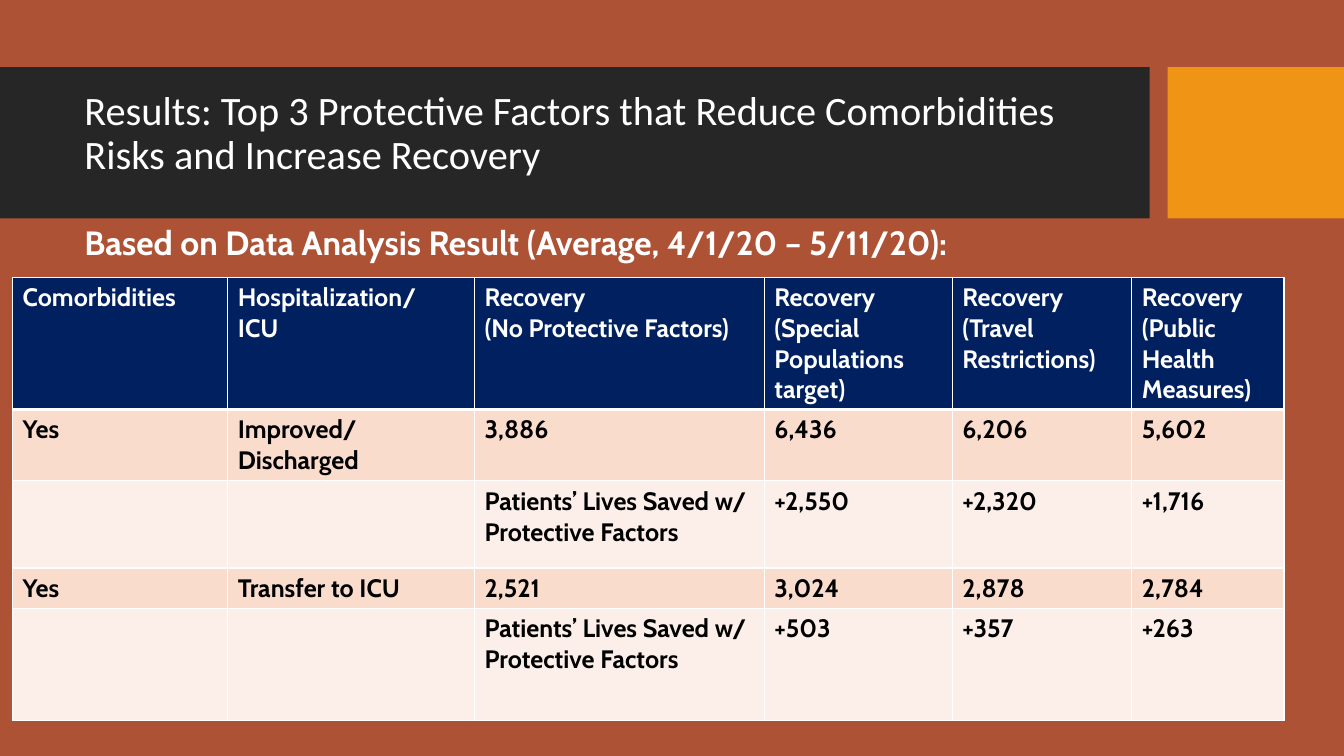
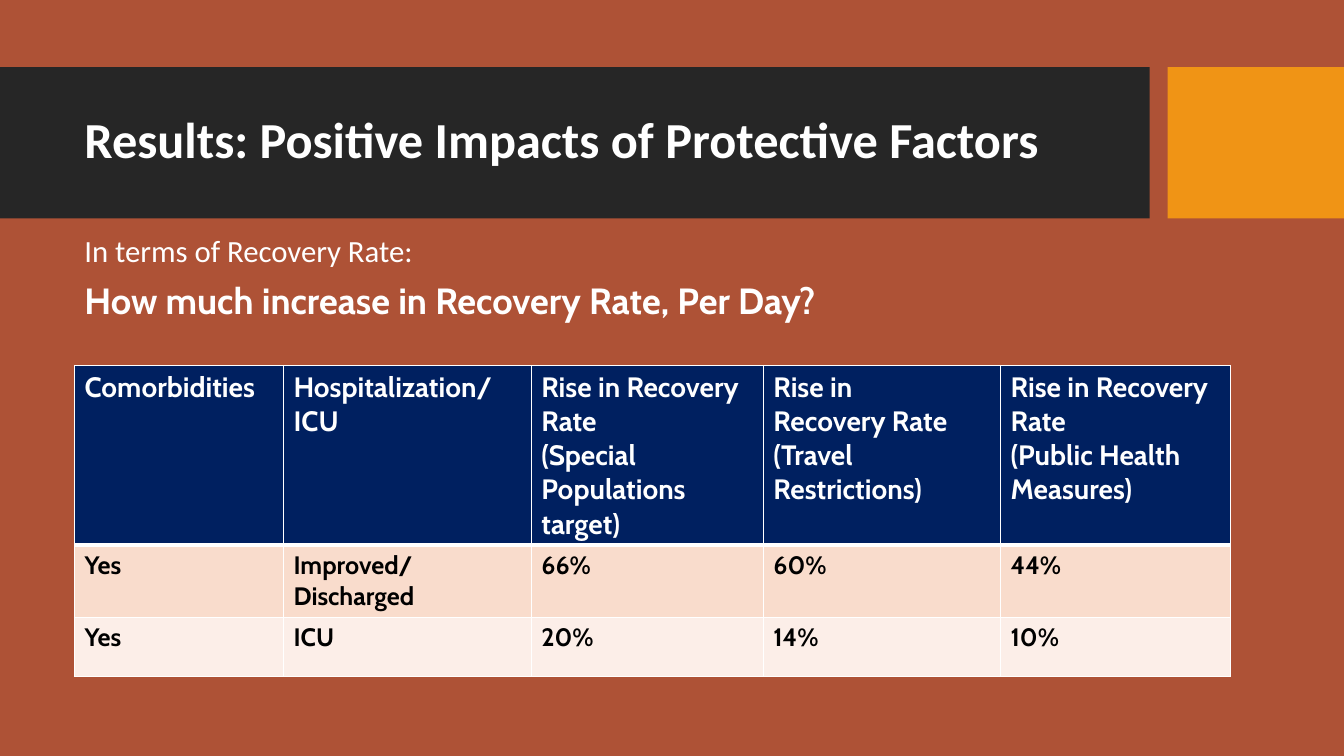
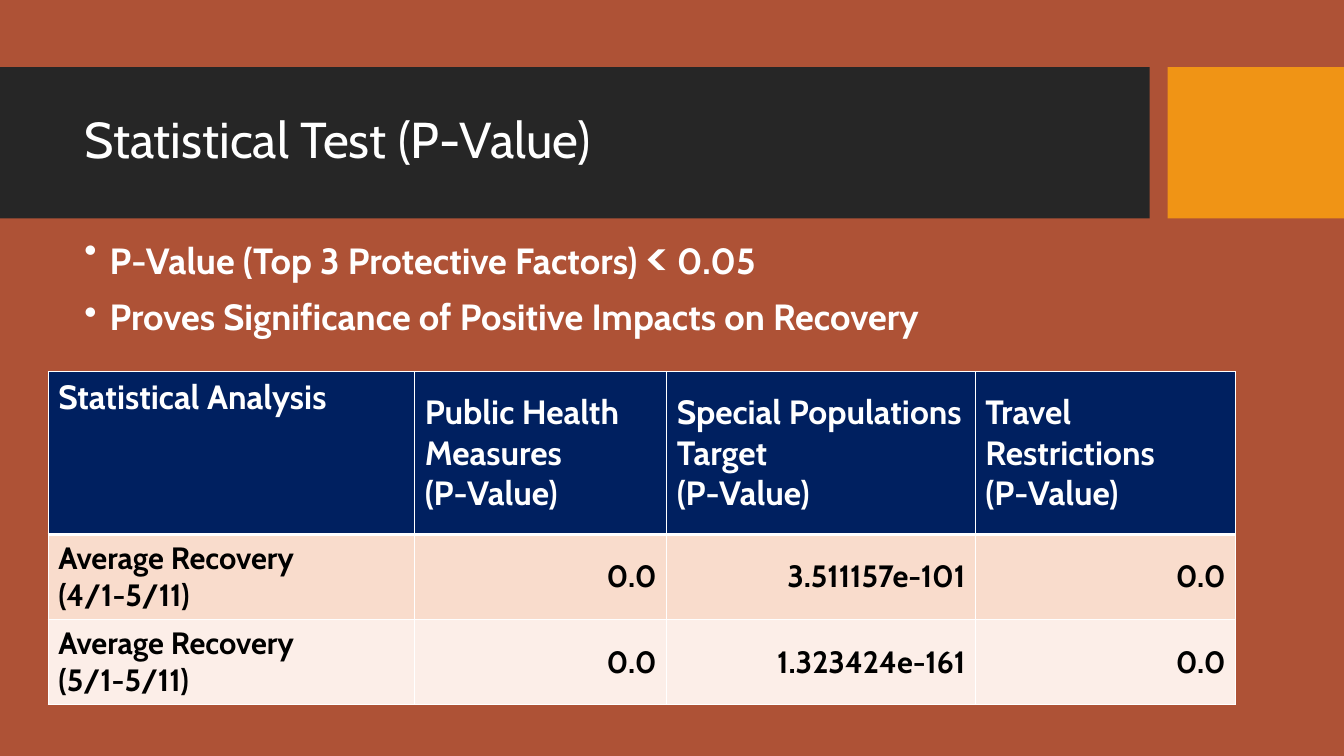
from dataclasses import dataclass

from lxml import etree
from pptx import Presentation
from pptx.dml.color import RGBColor
from pptx.enum.shapes import MSO_SHAPE
from pptx.enum.text import MSO_ANCHOR, PP_ALIGN
from pptx.oxml.ns import qn
from pptx.util import Emu, Pt

RECTANGLE = MSO_SHAPE.RECTANGLE
TOP, MIDDLE = MSO_ANCHOR.TOP, MSO_ANCHOR.MIDDLE
LEFT, RIGHT = PP_ALIGN.LEFT, PP_ALIGN.RIGHT

EMU_PER_PX = 9525
EMU_PER_POINT = 12700
BULLET_INDENT = 24
COLORS = {
    "background": "AE5236",
    "band": "262626",
    "accent": "F09415",
    "header": "002060",
    "odd_row": "F9DCCC",
    "even_row": "FCEEE8",
    "light": "FFFFFF",
    "dark": "000000",
}


@dataclass(frozen=True)
class Box:
    left: int
    top: int
    width: int
    height: int


@dataclass(frozen=True)
class Run:
    text: str
    size: float
    font: str = "Cabin"
    bold: bool = True


@dataclass(frozen=True)
class Line:
    runs: tuple[Run, ...]
    bullet: bool = False


@dataclass(frozen=True)
class Grid:
    left: int
    top: int
    columns: tuple[int, ...]
    rows: tuple[int, ...]
    cells: tuple[tuple[str, ...], ...]
    header_size: int
    body_size: int
    numeric: bool = False


@dataclass(frozen=True)
class Page:
    title_box: Box
    title: Run
    body_box: Box
    body: tuple[Line, ...]
    grid: Grid


BANDS = ((Box(0, 64, 1095, 144), "band"), (Box(1112, 64, 168, 144), "accent"))
TITLE_BOX = Box(71, 79, 1009, 113)

PAGES = (
    Page(
        Box(71, 78, 1020, 100),
        Run("Results: Top 3 Protective Factors that Reduce Comorbidities Risks and Increase Recovery",
            28.8, "Calibri", False),
        Box(71, 211, 1009, 412),
        (Line((Run("Based on Data Analysis Result (Average, 4/1/20 – 5/11/20):", 24),)),),
        Grid(
            12, 264, (205, 235, 276, 179, 171, 145), (126, 68, 83, 38, 107),
            (
                ("Comorbidities", "Hospitalization/\nICU", "Recovery\n(No Protective Factors)",
                 "Recovery\n(Special Populations target)", "Recovery\n(Travel Restrictions)",
                 "Recovery\n(Public Health Measures)"),
                ("Yes", "Improved/\nDischarged", "3,886", "6,436", "6,206", "5,602"),
                ("", "", "Patients’ Lives Saved w/ Protective Factors", "+2,550", "+2,320", "+1,716"),
                ("Yes", "Transfer to ICU", "2,521", "3,024", "2,878", "2,784"),
                ("", "", "Patients’ Lives Saved w/ Protective Factors", "+503", "+357", "+263"),
            ),
            18, 18,
        ),
    ),
    Page(
        TITLE_BOX,
        Run("Results: Positive Impacts of Protective Factors", 36, "Calibri"),
        Box(71, 220, 1009, 403),
        (
            Line((Run("In terms of Recovery Rate:", 22, "Calibri", False),)),
            Line((Run("How much increase in Recovery Rate, Per Day?", 26),)),
        ),
        Grid(
            71, 348, (199, 236, 221, 226, 219), (171, 69, 56),
            (
                ("Comorbidities", "Hospitalization/\nICU",
                 "Rise in Recovery Rate\n(Special Populations target)",
                 "Rise in\nRecovery Rate\n(Travel Restrictions)",
                 "Rise in Recovery Rate\n(Public Health Measures)"),
                ("Yes", "Improved/\nDischarged", "66%", "60%", "44%"),
                ("Yes", "ICU", "20%", "14%", "10%"),
            ),
            20, 18,
        ),
    ),
    Page(
        TITLE_BOX,
        Run("Statistical Test (P-Value)", 36, bold=False),
        Box(71, 215, 1105, 444),
        (
            Line((Run("P-Value (Top 3 Protective Factors) ", 26), Run("<", 36), Run(" 0.05", 26)), True),
            Line((Run("Proves Significance of Positive Impacts on Recovery", 26),), True),
        ),
        Grid(
            46, 354, (349, 240, 294, 248), (155, 81, 81),
            (
                ("Statistical Analysis", "Public Health Measures\n(P-Value)",
                 "Special Populations Target\n(P-Value)", "Travel Restrictions\n(P-Value)"),
                ("Average Recovery\n(4/1-5/11)", "0.0", "3.511157e-101", "0.0"),
                ("Average Recovery\n(5/1-5/11)", "0.0", "1.323424e-161", "0.0"),
            ),
            24, 22, numeric=True,
        ),
    ),
)


def px(length: int) -> Emu:
    return Emu(length * EMU_PER_PX)


def place(box: Box) -> tuple[Emu, ...]:
    return px(box.left), px(box.top), px(box.width), px(box.height)


def color(name: str) -> RGBColor:
    return RGBColor.from_string(COLORS[name])


def format_run(run, style: Run, color_name: str) -> None:
    run.font.size = Pt(style.size)
    run.font.name = style.font
    run.font.bold = style.bold
    run.font.color.rgb = color(color_name)


def add_band(slide, box: Box, color_name: str) -> None:
    shape = slide.shapes.add_shape(RECTANGLE, *place(box))
    shape.shadow.inherit = False
    shape.fill.solid()
    shape.fill.fore_color.rgb = color(color_name)
    shape.line.fill.background()


def add_bullet(paragraph) -> None:
    properties = paragraph._p.get_or_add_pPr()
    properties.set("marL", str(px(BULLET_INDENT)))
    properties.set("indent", str(-px(BULLET_INDENT)))
    etree.SubElement(properties, qn("a:buChar"), char="•")


def add_text(slide, box: Box, lines: tuple[Line, ...], anchor) -> None:
    text_frame = slide.shapes.add_textbox(*place(box)).text_frame
    text_frame.word_wrap = True
    text_frame.vertical_anchor = anchor
    for index, line in enumerate(lines):
        paragraph = text_frame.add_paragraph() if index else text_frame.paragraphs[0]
        if line.bullet:
            add_bullet(paragraph)
        paragraph.line_spacing = 0.9
        paragraph.space_before = Pt(10 if index else 0)
        for style in line.runs:
            run = paragraph.add_run()
            run.text = style.text
            format_run(run, style, "light")


def add_borders(cell, row: int) -> None:
    properties = cell._tc.get_or_add_tcPr()
    widths = {"L": 1, "R": 1, "T": 3 if row == 1 else 1, "B": 3 if row == 0 else 1}
    for index, (side, width) in enumerate(widths.items()):
        border = etree.Element(qn(f"a:ln{side}"), w=str(width * EMU_PER_POINT))
        fill = etree.SubElement(border, qn("a:solidFill"))
        etree.SubElement(fill, qn("a:srgbClr"), val=COLORS["light"])
        properties.insert(index, border)


def fill_cell(cell, grid: Grid, row: int, column: int) -> None:
    is_header = row == 0
    fill_name = "header" if is_header else ("even_row", "odd_row")[row % 2]
    cell.fill.solid()
    cell.fill.fore_color.rgb = color(fill_name)
    add_borders(cell, row)
    cell.vertical_anchor = MIDDLE if grid.numeric and (row or column) else TOP
    text = grid.cells[row][column]
    cell.text_frame.text = text
    style = Run(text, grid.header_size if is_header else grid.body_size)
    for paragraph in cell.text_frame.paragraphs:
        paragraph.alignment = RIGHT if grid.numeric and row and column else LEFT
        for run in paragraph.runs:
            format_run(run, style, "light" if is_header else "dark")


def add_grid(slide, grid: Grid) -> None:
    box = Box(grid.left, grid.top, sum(grid.columns), sum(grid.rows))
    table = slide.shapes.add_table(len(grid.rows), len(grid.columns), *place(box)).table
    for column, width in enumerate(grid.columns):
        table.columns[column].width = px(width)
    for row, height in enumerate(grid.rows):
        table.rows[row].height = px(height)
        for column in range(len(grid.columns)):
            fill_cell(table.cell(row, column), grid, row, column)


def add_page(presentation, page: Page) -> None:
    slide = presentation.slides.add_slide(presentation.slide_layouts[6])
    for box, color_name in BANDS:
        add_band(slide, box, color_name)
    add_text(slide, page.title_box, (Line((page.title,)),), MIDDLE)
    add_text(slide, page.body_box, page.body, TOP)
    add_grid(slide, page.grid)


def main() -> None:
    presentation = Presentation()
    presentation.slide_width = px(1280)
    presentation.slide_height = px(720)
    background = presentation.slide_master.background.fill
    background.solid()
    background.fore_color.rgb = color("background")
    for page in PAGES:
        add_page(presentation, page)
    presentation.save("out.pptx")


if __name__ == "__main__":
    main()
